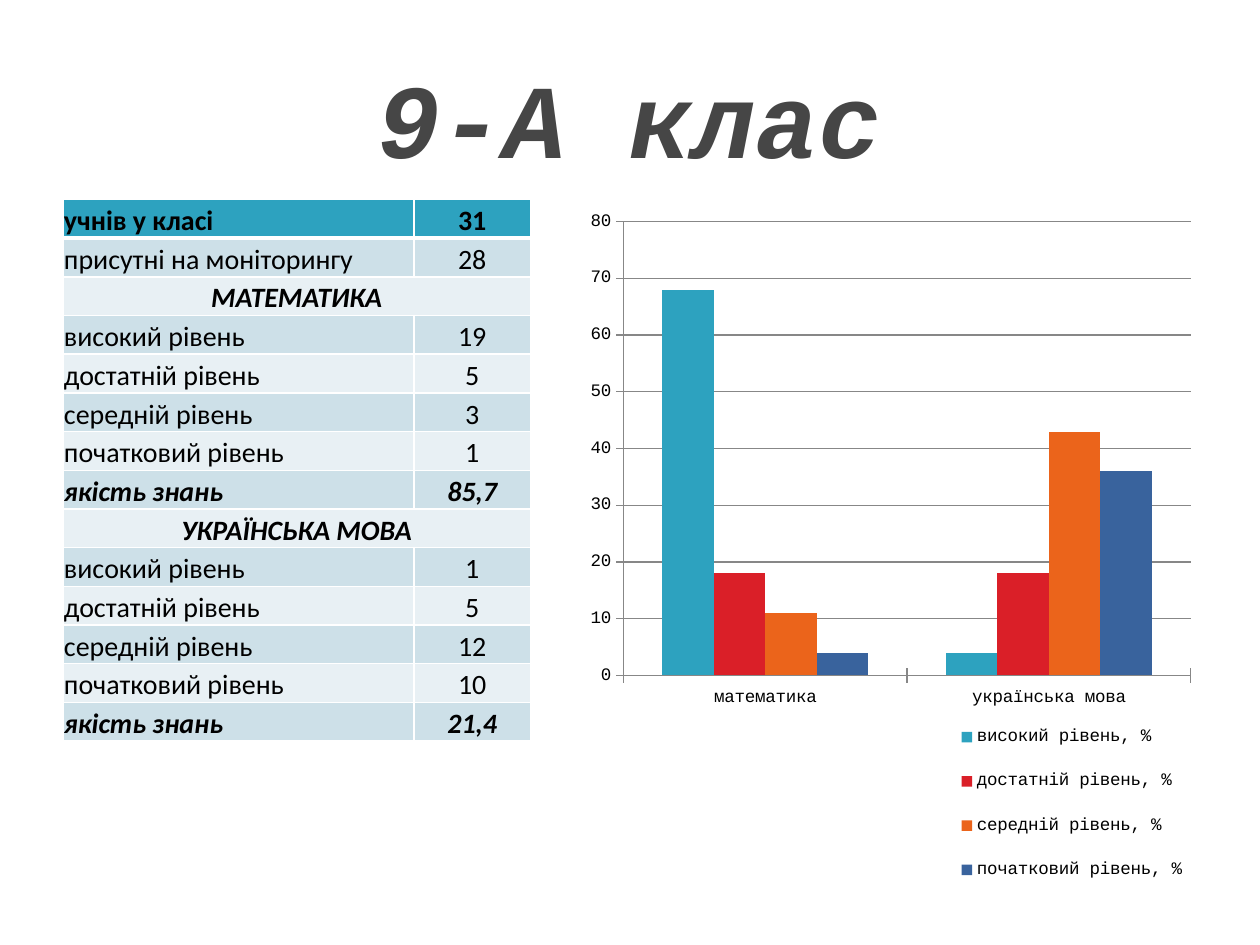
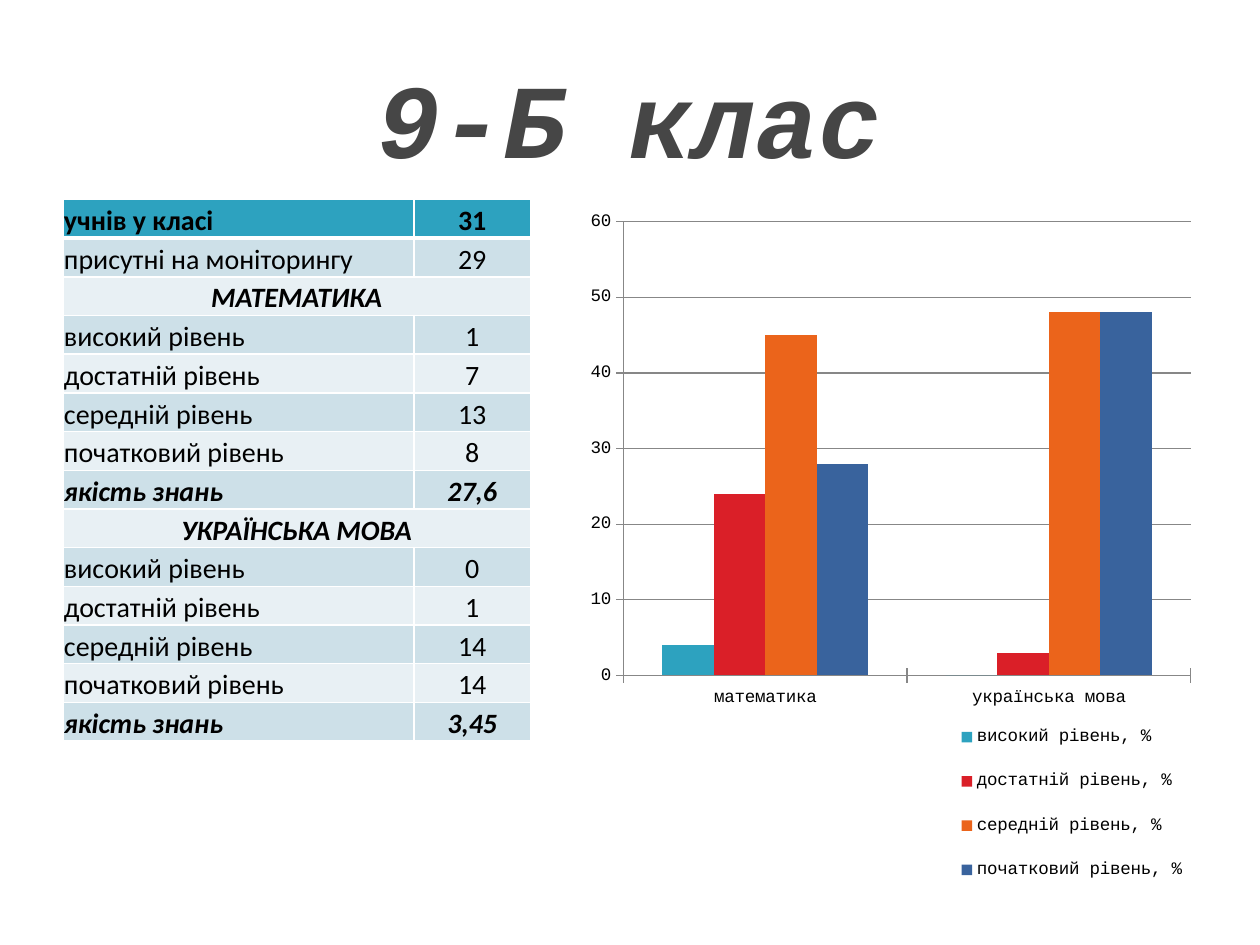
from dataclasses import dataclass
from typing import Any

import pptx
import pptx.chart.data
import pptx.dml.color
import pptx.enum.chart
import pptx.enum.text
import pptx.oxml
import pptx.oxml.ns
import pptx.util
from pptx.util import Cm

ALIGN = pptx.enum.text.PP_ALIGN
ANCHOR = pptx.enum.text.MSO_ANCHOR


@dataclass(frozen=True)
class Theme:
    title_font: str = "Courier New"
    body_font: str = "Calibri"
    title_size: int = 60
    table_size: int = 16
    chart_size: int = 10
    title: str = "464646"
    text: str = "000000"
    border: str = "FFFFFF"
    header: str = "2DA2BF"
    bands: tuple[str, str] = ("E8F0F4", "CDE0E8")
    series: tuple[str, ...] = ("2DA2BF", "DA1F28", "EB641B", "39639D")
    axis: str = "878787"


@dataclass(frozen=True)
class Subject:
    counts: tuple[int, int, int, int]  # pupils at each level
    quality: str
    shares: tuple[int, int, int, int]  # per cent at each level


@dataclass(frozen=True)
class ClassReport:
    name: str
    pupils: int
    present: int
    subjects: tuple[Subject, Subject]  # in the order of SUBJECTS
    axis_max: int


THEME = Theme()
SUBJECTS = ("математика", "українська мова")
LEVELS = ("високий рівень", "достатній рівень", "середній рівень", "початковий рівень")
REPORTS = (
    ClassReport("9-А клас", 31, 28, (
        Subject((19, 5, 3, 1), "85,7", (68, 18, 11, 4)),
        Subject((1, 5, 12, 10), "21,4", (4, 18, 43, 36)),
    ), 80),
    ClassReport("9-Б клас", 31, 29, (
        Subject((1, 7, 13, 8), "27,6", (4, 24, 45, 28)),
        Subject((0, 1, 14, 14), "3,45", (0, 3, 48, 48)),
    ), 60),
)


def rgb(color: str) -> pptx.dml.color.RGBColor:
    return pptx.dml.color.RGBColor.from_string(color)


def write(tf: Any, text: str, *, size: int = THEME.table_size, font: str = THEME.body_font,
          color: str = THEME.text, bold: bool = False, italic: bool = False,
          align: Any = ALIGN.LEFT) -> None:
    p = tf.paragraphs[0]
    p.alignment = align
    r = p.add_run()
    r.text = text
    r.font.size, r.font.name = pptx.util.Pt(size), font
    r.font.bold, r.font.italic = bold, italic
    r.font.color.rgb = rgb(color)


# Title
def add_title(s: Any, text: str) -> None:
    tf = s.shapes.add_textbox(Cm(1.27), Cm(0.76), Cm(22.86), Cm(3.18)).text_frame
    tf.word_wrap = True
    tf.vertical_anchor = ANCHOR.MIDDLE
    write(tf, text, size=THEME.title_size, font=THEME.title_font, color=THEME.title,
          bold=True, italic=True, align=ALIGN.CENTER)


# Table
def set_borders(cell: Any, top: int, bottom: int) -> None:
    tc_pr = cell._tc.get_or_add_tcPr()
    for i, (side, width) in enumerate((("L", 1), ("R", 1), ("T", top), ("B", bottom))):
        tc_pr.insert(i, pptx.oxml.parse_xml(
            f'<a:ln{side} {pptx.oxml.ns.nsdecls("a")} w="{pptx.util.Pt(width)}"><a:solidFill>'
            f'<a:srgbClr val="{THEME.border}"/></a:solidFill></a:ln{side}>'))


def table_rows(report: ClassReport) -> list[tuple[str, ...]]:
    """A row with a single text spans both columns."""
    rows: list[tuple[str, ...]] = [("учнів у класі", str(report.pupils)),
                                   ("присутні на моніторингу", str(report.present))]
    for name, subject in zip(SUBJECTS, report.subjects):
        rows.append((name.upper(),))
        rows += [(level, str(n)) for level, n in zip(LEVELS, subject.counts)]
        rows.append(("якість знань", subject.quality))
    return rows


def add_results_table(s: Any, report: ClassReport) -> None:
    rows = table_rows(report)
    row_h = Cm(0.78)
    table = s.shapes.add_table(len(rows), 2, Cm(1.27), Cm(4.02), Cm(9.42),
                               row_h * len(rows)).table
    table.first_row = table.horz_banding = False
    table.columns[0].width, table.columns[1].width = Cm(7.08), Cm(2.34)
    for i, texts in enumerate(rows):
        table.rows[i].height = row_h
        spans = len(texts) == 1
        emphasis = spans or texts[0] == "якість знань"
        for j in range(2):
            cell = table.cell(i, j)
            cell.fill.solid()
            cell.fill.fore_color.rgb = rgb(THEME.bands[i % 2] if i else THEME.header)
            set_borders(cell, top=3 if i == 1 else 1, bottom=1 if i else 3)
            cell.margin_left = cell.margin_right = cell.margin_top = Cm(0.02)
            cell.margin_bottom = 0
            cell.vertical_anchor = ANCHOR.BOTTOM
        if spans:
            table.cell(i, 0).merge(table.cell(i, 1))
        for j, text in enumerate(texts):
            write(table.cell(i, j).text_frame, text, bold=emphasis or i == 0, italic=emphasis,
                  align=ALIGN.CENTER if spans or j else ALIGN.LEFT)


# Chart
def set_layout(parent: Any, index: int, x: float, y: float, w: float, h: float,
               inner: bool = False) -> None:
    for old in parent.findall(pptx.oxml.ns.qn("c:layout")):
        parent.remove(old)
    target = '<c:layoutTarget val="inner"/>' if inner else ""
    modes = '<c:xMode val="edge"/><c:yMode val="edge"/>'
    box = "".join(f'<c:{k} val="{v}"/>' for k, v in zip("xywh", (x, y, w, h)))
    parent.insert(index, pptx.oxml.parse_xml(
        f'<c:layout {pptx.oxml.ns.nsdecls("c")}><c:manualLayout>{target}{modes}{box}'
        '</c:manualLayout></c:layout>'))


def add_levels_chart(s: Any, report: ClassReport) -> None:
    data = pptx.chart.data.CategoryChartData()
    data.categories = SUBJECTS
    for level, shares in zip(LEVELS, zip(*(subject.shares for subject in report.subjects))):
        data.add_series(f"{level}, %", shares)
    chart = s.shapes.add_chart(pptx.enum.chart.XL_CHART_TYPE.COLUMN_CLUSTERED, Cm(11.51),
                               Cm(4.02), Cm(12.62), Cm(14.5), data).chart
    chart.has_title = False
    chart.font.name, chart.font.size = THEME.title_font, pptx.util.Pt(THEME.chart_size)
    chart.font.color.rgb = rgb(THEME.text)

    plot = chart.plots[0]
    plot.gap_width, plot.overlap, plot.vary_by_categories = 150, 0, False
    for series, color in zip(plot.series, THEME.series):
        series.format.fill.solid()
        series.format.fill.fore_color.rgb = rgb(color)

    axis = chart.value_axis
    axis.minimum_scale, axis.maximum_scale, axis.major_unit = 0, report.axis_max, 10
    axis.has_major_gridlines = True
    chart.category_axis.major_tick_mark = pptx.enum.chart.XL_TICK_MARK.CROSS
    axis.major_tick_mark = pptx.enum.chart.XL_TICK_MARK.CROSS
    for lined in (axis, chart.category_axis, axis.major_gridlines):
        lined.format.line.color.rgb = rgb(THEME.axis)
        lined.format.line.width = pptx.util.Pt(0.75)

    chart.has_legend = True
    chart.legend.position = pptx.enum.chart.XL_LEGEND_POSITION.RIGHT
    chart.legend.include_in_layout = False
    set_layout(chart.element.xpath(".//c:plotArea")[0], 0, 0.084, 0.031, 0.906, 0.631, inner=True)
    set_layout(chart.element.xpath(".//c:legend")[0], 1, 0.61, 0.7, 0.38, 0.28)


def main() -> None:
    prs = pptx.Presentation()
    prs.slide_width, prs.slide_height = Cm(25.4), Cm(19.05)
    for report in REPORTS:
        s = prs.slides.add_slide(prs.slide_layouts[6])
        add_title(s, report.name)
        add_results_table(s, report)
        add_levels_chart(s, report)
    prs.save("out.pptx")


if __name__ == "__main__":
    main()
